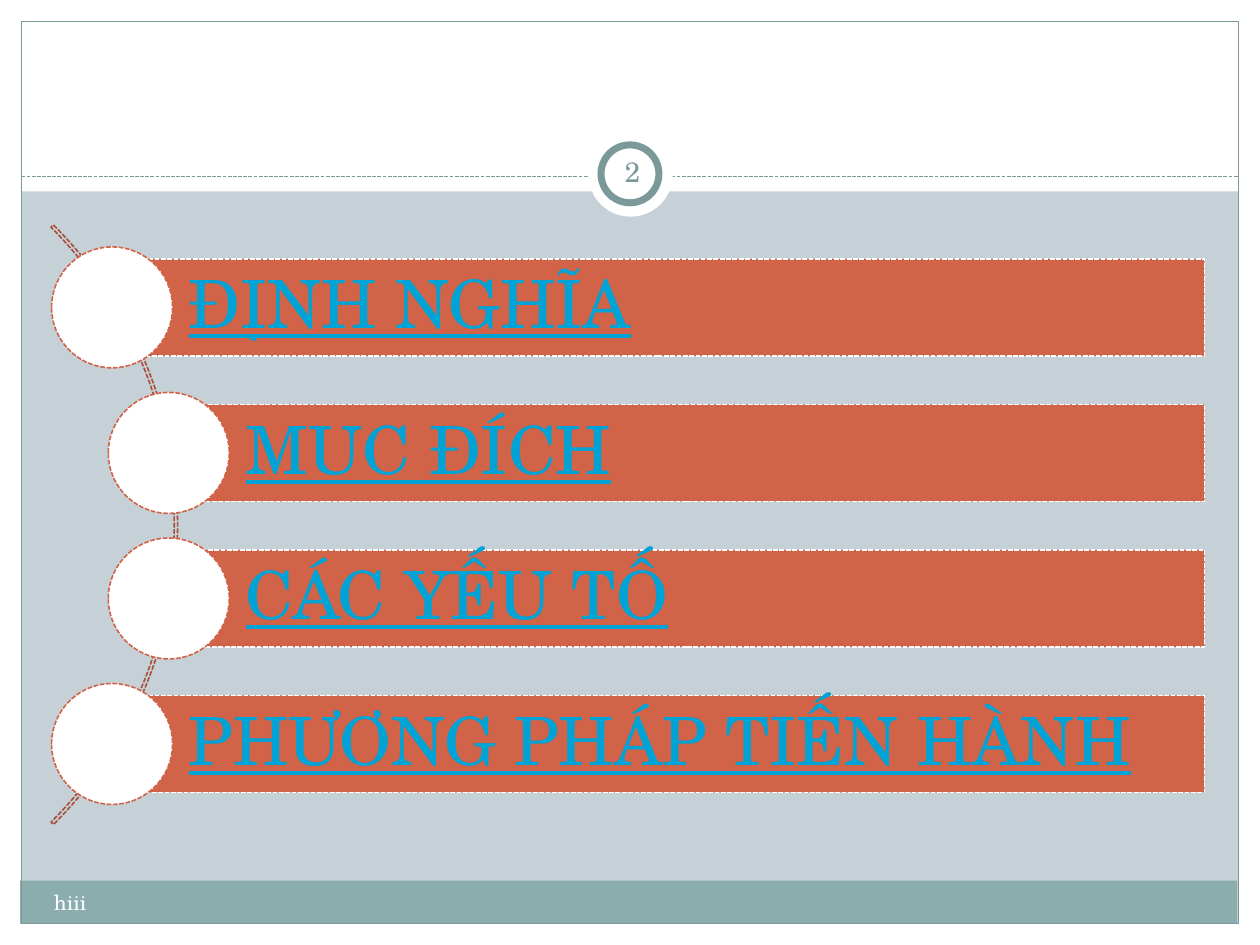
import pptx
import pptx.dml.color
import pptx.enum.dml
import pptx.enum.shapes
import pptx.enum.text
import pptx.oxml
import pptx.util

Inches = pptx.util.Inches
Pt = pptx.util.Pt
SHAPES = pptx.enum.shapes.MSO_SHAPE
ANCHOR = pptx.enum.text.MSO_ANCHOR
ALIGN = pptx.enum.text.PP_ALIGN

FONT = "TeX Gyre Schola"
COLORS = {
    "background": "C5D1D7",
    "white": "FFFFFF",
    "footer": "8CADAE",
    "frame": "7C999A",
    "arc": "A74F3A",
    "bar": "D16349",
    "link": "00A3D6",
}

# Agenda entries: text and whether the row is pushed right along the arc
ENTRIES = [
    ("ĐỊNH NGHĨA", False),
    ("MUC ĐÍCH", True),
    ("CÁC YẾU TỐ", True),
    ("PHƯƠNG PHÁP TIẾN HÀNH", False),
]
FIRST_CENTER, ROW_STEP = 2.44, 1.155
BAR_HEIGHT, BAR_RIGHT = 0.77, 9.56
CIRCLE_SIZE = 0.96


def color(name):
    return pptx.dml.color.RGBColor.from_string(COLORS[name])


def set_values(target, values):
    for name, value in values.items():
        setattr(target, name, value)


def style_line(line, name, width, dashed=False):
    line.color.rgb = color(name)
    line.width = Pt(width)
    if dashed:
        line.dash_style = pptx.enum.dml.MSO_LINE.SQUARE_DOT


def add_box(slide, kind, box, fill=None, line=None, width=0.75, dashed=False):
    shape = slide.shapes.add_shape(kind, *map(Inches, box))
    shape.shadow.inherit = False
    if fill:
        shape.fill.solid()
        shape.fill.fore_color.rgb = color(fill)
    else:
        shape.fill.background()
    if line:
        style_line(shape.line, line, width, dashed)
    else:
        shape.line.fill.background()
    return shape


def write_text(shape, text, name, frame_values, paragraph_values, font_values):
    frame = shape.text_frame
    set_values(frame, {"word_wrap": True, **frame_values})
    paragraph = frame.paragraphs[0]
    set_values(paragraph, paragraph_values)
    run = paragraph.add_run()
    run.text = text
    set_values(run.font, {"name": FONT, **font_values})
    run.font.color.rgb = color(name)


def add_label(slide, box, *text_format):
    write_text(slide.shapes.add_textbox(*map(Inches, box)), *text_format)


def add_dashed_rule(slide, left, right, top):
    rule = slide.shapes.add_connector(
        pptx.enum.shapes.MSO_CONNECTOR.STRAIGHT,
        Inches(left), Inches(top), Inches(right), Inches(top))
    style_line(rule.line, "frame", 0.75, dashed=True)
    properties = rule.element.spPr
    properties.append(pptx.oxml.parse_xml(
        '<a:effectLst xmlns:a="http://schemas.openxmlformats.org/drawingml/2006/main"/>'))


def add_frame(slide):
    # White margins around the content area
    for box in [(0, 7.33, 10, 0.17), (0, 0, 10, 1.52),
                (0, 0, 0.17, 7.5), (9.83, 0, 0.17, 7.5)]:
        add_box(slide, SHAPES.RECTANGLE, box, "white")
    # Footer band, border and header rule
    add_box(slide, SHAPES.RECTANGLE, (0.16, 6.99, 9.66, 0.34), "footer")
    add_box(slide, SHAPES.RECTANGLE, (0.17, 0.17, 9.66, 7.16), line="frame")
    add_dashed_rule(slide, 0.17, 9.83, 1.4)
    # Page number badge
    add_box(slide, SHAPES.OVAL, (4.67, 1.05, 0.67, 0.67), "white")
    add_box(slide, SHAPES.OVAL, (4.77, 1.15, 0.46, 0.46), "white", "frame", 4)


def add_arc(slide):
    arc = add_box(slide, SHAPES.BLOCK_ARC, (-5.32, 0.8, 6.73, 6.73),
                  line="arc", width=0.9, dashed=True)
    for index, value in enumerate([189, 27, 0.004]):
        arc.adjustments[index] = value


def add_entry(slide, text, center, indented):
    left = 1.34 if indented else 0.89
    bar = add_box(slide, SHAPES.RECTANGLE,
                  (left, center - BAR_HEIGHT / 2, BAR_RIGHT - left, BAR_HEIGHT),
                  "bar", "white", 0.9, dashed=True)
    margin = Inches(0.11)
    write_text(bar, text, "link",
               {"vertical_anchor": ANCHOR.MIDDLE, "margin_left": Inches(0.61),
                "margin_right": margin, "margin_top": margin,
                "margin_bottom": margin},
               {"alignment": ALIGN.LEFT, "line_spacing": 0.9},
               {"size": Pt(38), "underline": True})
    # The circle is centred on the left end of the bar
    radius = CIRCLE_SIZE / 2
    add_box(slide, SHAPES.OVAL,
            (left - radius, center - radius, CIRCLE_SIZE, CIRCLE_SIZE),
            "white", "bar", 0.9, dashed=True)


def main():
    presentation = pptx.Presentation()
    presentation.slide_width = Inches(10)
    presentation.slide_height = Inches(7.5)
    slide = presentation.slides.add_slide(presentation.slide_layouts[6])
    slide.background.fill.solid()
    slide.background.fill.fore_color.rgb = color("background")

    add_frame(slide)

    # Agenda along the arc
    add_arc(slide)
    for row, (text, indented) in enumerate(ENTRIES):
        add_entry(slide, text, FIRST_CENTER + row * ROW_STEP, indented)

    # Footer and page number
    add_label(slide, (0.33, 7.01, 3.92, 0.4), "hiii", "white",
              {"vertical_anchor": ANCHOR.TOP}, {"alignment": ALIGN.LEFT},
              {"size": Pt(12)})
    margin = Inches(0.05)
    add_label(slide, (4.77, 1.12, 0.5, 0.48), "2", "frame",
              {"vertical_anchor": ANCHOR.MIDDLE, "margin_left": margin,
               "margin_right": margin, "margin_top": margin,
               "margin_bottom": margin},
              {"alignment": ALIGN.CENTER}, {"size": Pt(16)})

    presentation.save("out.pptx")


if __name__ == "__main__":
    main()
